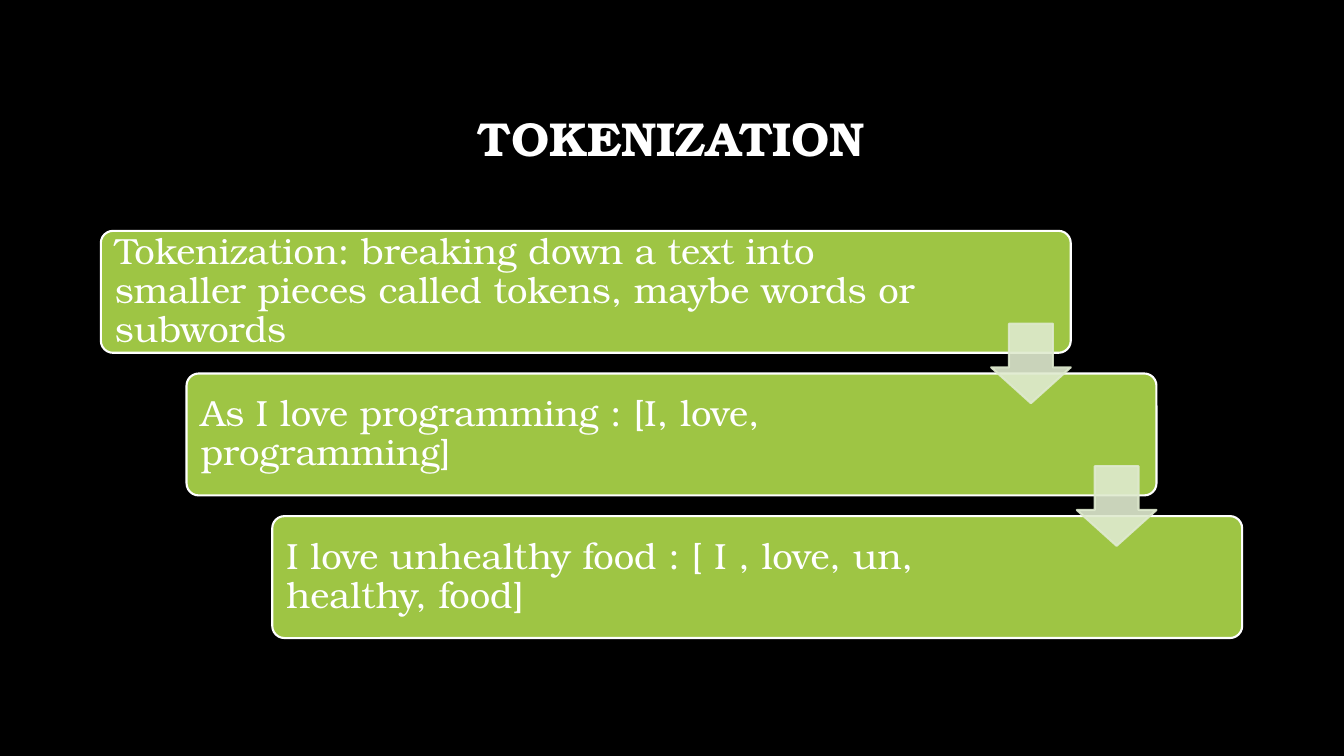
from lxml.etree import SubElement
from pptx import Presentation
from pptx.dml.color import RGBColor
from pptx.enum.shapes import MSO_SHAPE as Preset
from pptx.enum.text import MSO_ANCHOR as Anchor, PP_ALIGN as Align
from pptx.oxml.ns import qn
from pptx.util import Inches, Pt

FONT = "TeX Gyre Bonum"
WHITE, GREEN, PALE = "FFFFFF", "9EC544", "DFEACF"
LEFT, TOP, STEP_X, STEP_Y = 1, 2.29, 0.85, 1.415
CARD_W, CARD_H, TEXT_PAD, ARROW = 9.62, 1.21, 0.03, 0.79
STEPS = [
    ("Tokenization: breaking down a text into smaller pieces called tokens, "
     "maybe words or subwords", 8.32),
    ("As I love programming : [I, love, programming]", 7.92),
    ("I love unhealthy food : [ I , love, un, healthy, food]", 7.92),
]


def paint(fill, color, opacity=100):
    """Give a fill a solid colour and an opacity in percent."""
    fill.solid()
    fill.fore_color.rgb = RGBColor.from_string(color)
    if opacity < 100:
        tint = fill._xPr.find(qn("a:solidFill"))[0]
        SubElement(tint, qn("a:alpha"), val=str(opacity * 1000))


def add_block(slide, preset, box, adjustments, fill, line, opacity=100):
    """Add a filled and outlined preset shape."""
    block = slide.shapes.add_shape(preset, *map(Inches, box))
    block.shadow.inherit = False
    for index, value in enumerate(adjustments):
        block.adjustments[index] = value
    paint(block.fill, fill, opacity)
    paint(block.line.fill, line, opacity)
    block.line.width = Pt(1.5)


def add_label(slide, text, box, size, align=Align.LEFT, bold=False, inset=0.11):
    """Add a wrapped, vertically centred white text."""
    frame = slide.shapes.add_textbox(*map(Inches, box)).text_frame
    frame.word_wrap = True
    frame.vertical_anchor = Anchor.MIDDLE
    frame.margin_left = frame.margin_right = Inches(inset)
    frame.margin_top = frame.margin_bottom = Inches(inset)
    frame.text = text
    paragraph = frame.paragraphs[0]
    paragraph.alignment = align
    paragraph.line_spacing = 0.9
    font = paragraph.runs[0].font
    font.name, font.size, font.bold = FONT, Pt(size), bold
    font.color.rgb = RGBColor.from_string(WHITE)


def add_step(slide, index, text, text_width):
    """Add one card of the staircase with its text."""
    left, top = LEFT + index * STEP_X, TOP + index * STEP_Y
    add_block(slide, Preset.ROUNDED_RECTANGLE, (left, top, CARD_W, CARD_H),
              [0.1], GREEN, WHITE)
    text_box = (left + TEXT_PAD, top + TEXT_PAD, text_width, CARD_H - 2 * TEXT_PAD)
    add_label(slide, text, text_box, 26)


def add_step_arrow(slide, index):
    """Add the arrow that leads from one card to the next."""
    left = LEFT + index * STEP_X + CARD_W - ARROW
    top = TOP + index * STEP_Y + 0.92
    add_block(slide, Preset.DOWN_ARROW, (left, top, ARROW, ARROW),
              [0.55, 0.45], PALE, PALE, opacity=90)


def main():
    """Build the tokenization slide."""
    deck = Presentation()
    deck.slide_width, deck.slide_height = Inches(13.33), Inches(7.5)
    slide = deck.slides.add_slide(deck.slide_layouts[6])
    paint(slide.background.fill, "000000")
    add_label(slide, "TOKENIZATION", (1, 0.67, 11.32, 1.45), 34,
              Align.CENTER, bold=True, inset=0.05)
    for index, (text, text_width) in enumerate(STEPS):
        add_step(slide, index, text, text_width)
    for index in range(len(STEPS) - 1):
        add_step_arrow(slide, index)
    deck.save("out.pptx")


if __name__ == "__main__":
    main()
